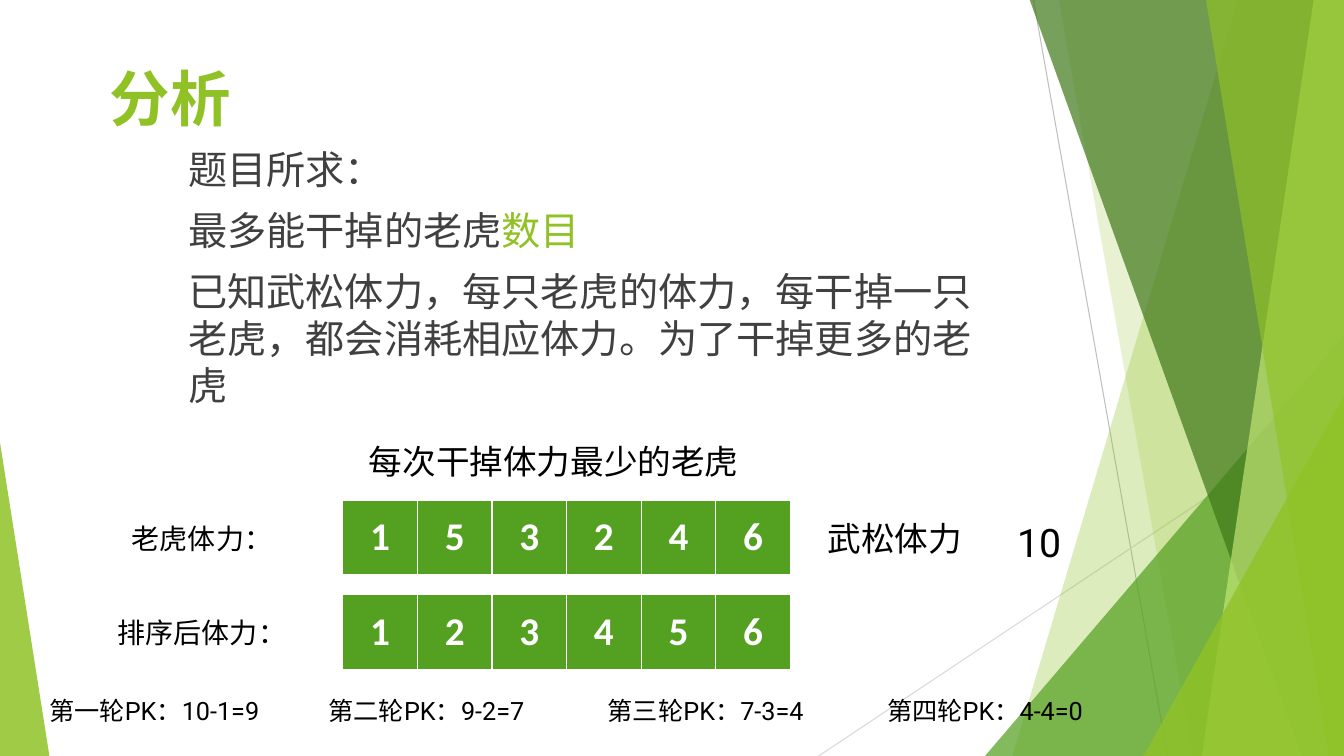
import pptx
import pptx.util
import pptx.dml.color
import pptx.enum.shapes
import pptx.enum.text
import pptx.oxml
import pptx.oxml.ns
from lxml import etree
from dataclasses import dataclass

Inches = pptx.util.Inches
Pt = pptx.util.Pt
RGB = pptx.dml.color.RGBColor.from_string
qn = pptx.oxml.ns.qn


@dataclass
class Theme:
    font: str = "Roboto"
    number_font: str = "Calibri"
    lime: str = "90C226"
    green: str = "54A021"
    forest: str = "3F7819"
    pale: str = "C0E474"
    grey: str = "404040"
    black: str = "000000"
    white: str = "FFFFFF"
    title: float = 43.2
    body: float = 28
    note: float = 24
    label: float = 20
    round: float = 18


theme = Theme()


def style(paragraph, size, color, font=theme.font, bold=False):
    paragraph.font.size = Pt(size)
    paragraph.font.name = font
    paragraph.font.bold = bold
    paragraph.font.color.rgb = RGB(color)
    defaults = paragraph._p.pPr.find(qn("a:defRPr"))
    latin = defaults.find(qn("a:latin"))
    east_asian = etree.Element(qn("a:ea"), typeface=font)
    latin.addnext(east_asian)


def paint(shape, color, opacity):
    shape.shadow.inherit = False
    shape.line.fill.background()
    shape.fill.solid()
    shape.fill.fore_color.rgb = RGB(color)
    color_element = shape._element.spPr.find(qn("a:solidFill"))[0]
    etree.SubElement(color_element, qn("a:alpha"), val=str(opacity * 1000))


prs = pptx.Presentation()
prs.slide_width = Inches(13.33)
prs.slide_height = Inches(7.5)
slide = prs.slides.add_slide(prs.slide_layouts[5])
shapes = slide.shapes

for x1, y1, x2, y2, color in [
    (10.25, 0, 11.58, 7.5, "BFBFBF"),
    (13.33, 4.03, 8.12, 7.5, "D9D9D9"),
]:
    ray = shapes.add_connector(
        pptx.enum.shapes.MSO_CONNECTOR.STRAIGHT,
        Inches(x1), Inches(y1), Inches(x2), Inches(y2),
    )
    ray.line.color.rgb = RGB(color)
    ray.line.width = Pt(0.75)
    etree.SubElement(ray._element.spPr, qn("a:effectLst"))

facets = [
    ("band", (12.28, 10.04), theme.lime, 30),
    ("band", (10.5, 11.83), theme.lime, 20),
    ("triangle", (9.77, 3.33, 3.56, 4.17, 1), theme.green, 72),
    ("band", (10.21, 12.91), theme.forest, 70),
    ("band", (13.03, 11.92), theme.pale, 70),
    ("band", (11.96, 13.18), theme.lime, 65),
    ("triangle", (11.34, 3.93, 1.99, 3.57, 1), theme.lime, 80),
    ("triangle", (0, 4.39, 0.49, 3.11, 0), theme.lime, 85),
]
for kind, geometry, color, opacity in facets:
    if kind == "band":
        top_x, bottom_x = geometry
        outline = shapes.build_freeform(Inches(top_x), Inches(-0.01), scale=1.0)
        outline.add_line_segments(
            [(Inches(x), Inches(y)) for x, y in [(13.33, -0.01), (13.33, 7.5), (bottom_x, 7.5)]],
            close=True,
        )
        facet = outline.convert_to_shape()
    else:
        *box, apex = geometry
        facet = shapes.add_shape(
            pptx.enum.shapes.MSO_SHAPE.ISOSCELES_TRIANGLE, *[Inches(v) for v in box]
        )
        facet.adjustments[0] = apex
    paint(facet, color, opacity)

title = shapes.title
title.left, title.top, title.width, title.height = [Inches(v) for v in (0.99, 0.56, 7.57, 0.61)]
title.text_frame.text = "分析"
title.text_frame.vertical_anchor = pptx.enum.text.MSO_ANCHOR.TOP
heading = title.text_frame.paragraphs[0]
heading.alignment = pptx.enum.text.PP_ALIGN.LEFT
style(heading, theme.title, theme.lime, bold=True)

analysis = shapes.add_textbox(Inches(1.77), Inches(1.39), Inches(8.22), Inches(3.06)).text_frame
analysis.word_wrap = True
statements = [
    [("题目所求：", theme.grey)],
    [("最多能干掉的老虎", theme.grey), ("数目", theme.lime)],
    [("已知武松体力，每只老虎的体力，每干掉一只老虎，都会消耗相应体力。为了干掉更多的老虎", theme.grey)],
]
for index, pieces in enumerate(statements):
    statement = analysis.add_paragraph() if index else analysis.paragraphs[0]
    if index:
        statement.space_before = Pt(10)
    style(statement, theme.body, theme.grey)
    for words, color in pieces:
        run = statement.add_run()
        run.text = words
        if color != theme.grey:
            run.font.color.rgb = RGB(color)

cell_size = 0.74
for top, strengths in [(4.96, [1, 5, 3, 2, 4, 6]), (5.9, [1, 2, 3, 4, 5, 6])]:
    tigers = shapes.add_table(
        1, len(strengths), Inches(3.4), Inches(top),
        Inches(cell_size * len(strengths)), Inches(cell_size),
    ).table
    for column, strength in enumerate(strengths):
        tigers.columns[column].width = Inches(cell_size)
        cell = tigers.cell(0, column)
        cell.text = str(strength)
        cell.vertical_anchor = pptx.enum.text.MSO_ANCHOR.MIDDLE
        number = cell.text_frame.paragraphs[0]
        number.alignment = pptx.enum.text.PP_ALIGN.CENTER
        style(number, theme.body, theme.white, theme.number_font, bold=True)
        cell.fill.solid()
        cell.fill.fore_color.rgb = RGB(theme.green)
        properties = cell._tc.get_or_add_tcPr()
        for position, side in enumerate(("a:lnL", "a:lnR", "a:lnT", "a:lnB")):
            border = etree.Element(qn(side), w=str(Pt(1)))
            border_fill = etree.SubElement(border, qn("a:solidFill"))
            etree.SubElement(border_fill, qn("a:srgbClr"), val=theme.white)
            properties.insert(position, border)

labels = [
    ("每次干掉体力最少的老虎", 3.56, 4.33, 4.25, 0.5, theme.note),
    ("老虎体力：", 1.21, 5.12, 1.75, 0.44, theme.label),
    ("排序后体力：", 1.07, 6.06, 2.03, 0.44, theme.label),
    ("武松体力", 8.11, 5.09, 1.7, 0.5, theme.note),
    ("10", 9.99, 5.09, 0.66, 0.57, theme.body),
]
rounds = ["第一轮PK：10-1=9", "第二轮PK：9-2=7", "第三轮PK：7-3=4", "第四轮PK：4-4=0"]
for index, words in enumerate(rounds):
    labels.append((words, 0.39 + 2.77 * index, 6.85, 2.57, 0.4, theme.round))

for words, left, top, width, height, size in labels:
    label = shapes.add_textbox(Inches(left), Inches(top), Inches(width), Inches(height)).text_frame
    label.word_wrap = True
    label.text = words
    style(label.paragraphs[0], size, theme.black)

prs.save("out.pptx")
